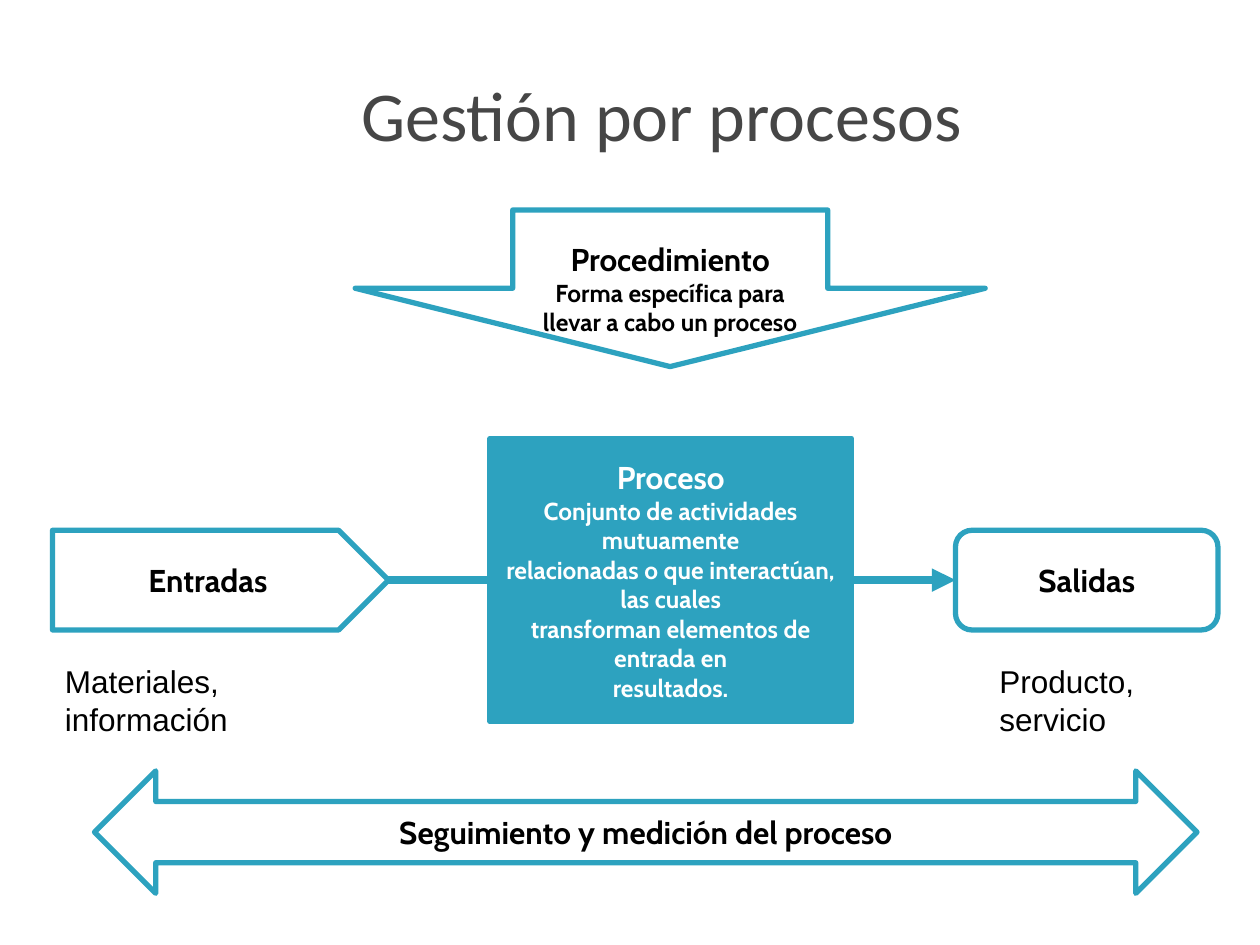
from lxml.etree import SubElement
from pptx import Presentation
from pptx.dml.color import RGBColor
from pptx.enum.shapes import MSO_CONNECTOR, MSO_SHAPE
from pptx.enum.text import MSO_ANCHOR, PP_ALIGN
from pptx.oxml.ns import qn
from pptx.util import Pt

TEAL, WHITE, BLACK, GRAY = "2DA2BF", "FFFFFF", "000000", "464646"
HEADING, BODY = 18, 14
TOP, LEFT, BOTTOM, RIGHT = range(4)


def color(value):
    return RGBColor.from_string(value)


def write(frame, lines, *, font="Cabin", ink=BLACK, bold=True,
          align=PP_ALIGN.CENTER, anchor=MSO_ANCHOR.MIDDLE):
    """Fill a text frame with (text, size) paragraphs."""
    frame.word_wrap = True
    frame.vertical_anchor = anchor
    for index, (text, size) in enumerate(lines):
        para = frame.add_paragraph() if index else frame.paragraphs[0]
        para.alignment = align
        span = para.add_run()
        span.text = text
        span.font.name = font
        span.font.size = Pt(size)
        span.font.bold = bold
        span.font.color.rgb = color(ink)


def add_title(page, text):
    title = page.shapes.title
    title.left, title.top, title.width, title.height = Pt(54), Pt(20), Pt(648), Pt(90)
    write(title.text_frame, [(text, 40)], font="Calibri", ink=GRAY, bold=False)
    # Hanging indent
    properties = title.text_frame.paragraphs[0]._p.get_or_add_pPr()
    properties.set("marL", str(Pt(27)))
    properties.set("indent", str(-Pt(27)))


def add_block(page, kind, bounds, lines, *, fill=WHITE, ink=BLACK):
    block = page.shapes.add_shape(kind, *map(Pt, bounds))
    block.shadow.inherit = False
    block.fill.solid()
    block.fill.fore_color.rgb = color(fill)
    block.line.color.rgb = color(TEAL)
    block.line.width = Pt(3)
    write(block.text_frame, lines, ink=ink)
    return block


def add_label(page, left, text):
    box = page.shapes.add_textbox(Pt(left), Pt(375), Pt(138), Pt(51))
    write(box.text_frame, [(text, HEADING)], font="Arial", bold=False,
          align=PP_ALIGN.LEFT, anchor=MSO_ANCHOR.TOP)


def join(page, source, target, *, arrow=False):
    """Connect the right side of source to the left side of target."""
    link = page.shapes.add_connector(MSO_CONNECTOR.STRAIGHT, 0, 0, 0, 0)
    link.begin_connect(source, RIGHT)
    link.end_connect(target, LEFT)
    link.line.color.rgb = color(TEAL)
    link.line.width = Pt(4.5)
    if arrow:
        SubElement(link.line._get_or_add_ln(), qn("a:tailEnd"), type="triangle")
    SubElement(link._element.spPr, qn("a:effectLst"))


def main():
    deck = Presentation()
    deck.slide_width, deck.slide_height = Pt(720), Pt(540)
    page = deck.slides.add_slide(deck.slide_layouts[5])
    add_title(page, "Gestión por procesos")

    # Inputs, process and outputs
    process = add_block(page, MSO_SHAPE.RECTANGLE, (280, 250.5, 206.5, 162), [
        ("Proceso", HEADING),
        ("Conjunto de actividades mutuamente", BODY),
        ("relacionadas o que interactúan, las cuales", BODY),
        ("transforman elementos de entrada en", BODY),
        ("resultados.", BODY),
    ], fill=TEAL, ink=WHITE)
    inputs = add_block(page, MSO_SHAPE.PENTAGON, (30, 303, 192, 57),
                       [("Entradas", HEADING)])
    outputs = add_block(page, MSO_SHAPE.ROUNDED_RECTANGLE, (546, 303, 150, 57),
                        [("Salidas", HEADING)])
    join(page, inputs, process)
    join(page, process, outputs, arrow=True)
    add_label(page, 30, "Materiales, información")
    add_label(page, 564, "Producto, servicio")

    # Procedure above, monitoring below
    procedure = add_block(page, MSO_SHAPE.DOWN_ARROW, (203, 120, 360, 89.5), [
        ("Procedimiento", HEADING),
        ("Forma específica para llevar a cabo un proceso", BODY),
    ])
    procedure.text_frame.margin_top = Pt(26)
    add_block(page, MSO_SHAPE.LEFT_RIGHT_ARROW, (54, 440.5, 630, 70),
              [("Seguimiento y medición del proceso", HEADING)])

    deck.save("out.pptx")


if __name__ == "__main__":
    main()
